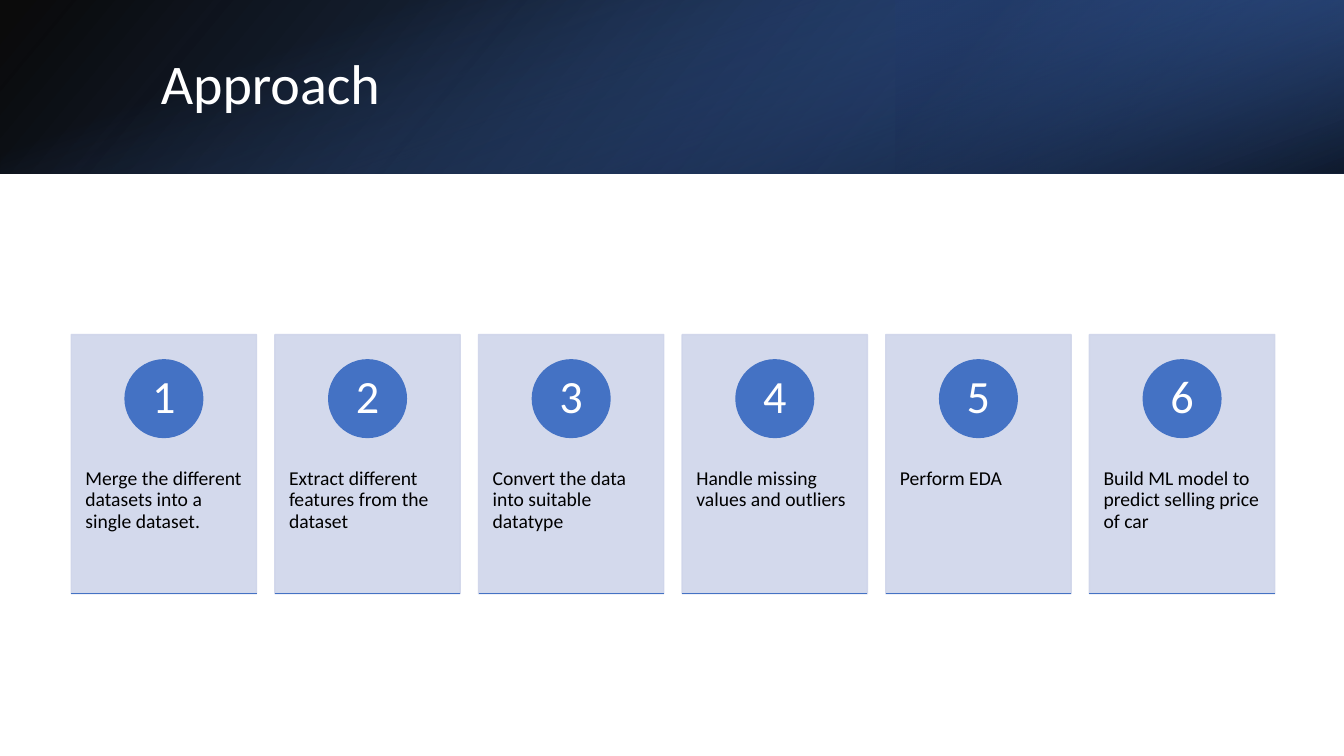
from dataclasses import dataclass

from lxml.etree import SubElement
from pptx import Presentation
from pptx.dml.color import RGBColor
from pptx.enum.shapes import MSO_CONNECTOR, MSO_SHAPE
from pptx.enum.text import MSO_ANCHOR, MSO_AUTO_SIZE, PP_ALIGN
from pptx.oxml.ns import qn
from pptx.util import Inches, Pt

WIDE, HIGH = Inches(13.33), Inches(7.5)
COL, ROW = WIDE / 6.6, HIGH / 15
FONT = "Calibri"
BLACK = RGBColor(0x00, 0x00, 0x00)
WHITE = RGBColor(0xFF, 0xFF, 0xFF)
BLUE = RGBColor(0x44, 0x72, 0xC4)
DEEP = RGBColor(0x2F, 0x55, 0x97)
NAVY = RGBColor(0x20, 0x38, 0x64)
PALE = RGBColor(0xCF, 0xD5, 0xEA)


@dataclass
class Stop:
    """A gradient stop: place, colour and opacity in percent."""
    place: float
    color: RGBColor
    alpha: int


@dataclass
class Band:
    """A gradient layer of the header, measured in columns."""
    left: float
    width: float
    angle: int
    stops: tuple[Stop, Stop]
    turn: int = 0
    flip: bool = False


@dataclass
class Step:
    """A numbered card, placed by its column."""
    index: int
    text: str


BANDS = [
    Band(0, 6.6, 140, (Stop(0, BLACK, 96), Stop(1, DEEP, 100)), flip=True),
    Band(4.4, 2.2, 320, (Stop(0.19, NAVY, 68), Stop(1, BLUE, 79)), turn=180, flip=True),
    Band(0, 6.6, 340, (Stop(0.23, BLUE, 0), Stop(0.99, BLACK, 74)), turn=90),
]
STEPS = [Step(i, text) for i, text in enumerate([
    "Merge the different datasets into a single dataset.",
    "Extract different features from the dataset",
    "Convert the data into suitable datatype",
    "Handle missing values and outliers",
    "Perform EDA",
    "Build ML model to predict selling price of car",
])]
BAND_ROWS = 3.44
CARD_LEFT, CARD_COLS = 0.35, 0.91
CARD_TOP, CARD_ROWS = 6.64, 5.14
DISC_TOP, DISC_ROWS = 7.14, 1.54


def fade(shape, *alphas: int) -> None:
    """Set the opacity of the shape's colours in order."""
    colors = shape.element.spPr.iter(qn("a:srgbClr"))
    for color, alpha in zip(colors, alphas):
        SubElement(color, qn("a:alpha"), val=str(alpha * 1000))


def write(shape, text: str, *, size: float, color: RGBColor, align=PP_ALIGN.LEFT,
          anchor=MSO_ANCHOR.MIDDLE, insets=(0.1, 0.05, 0.1, 0.05)) -> None:
    """Put formatted text in a shape; insets run left, top, right, bottom."""
    frame = shape.text_frame
    frame.word_wrap, frame.auto_size = True, MSO_AUTO_SIZE.NONE
    frame.vertical_anchor = anchor
    (frame.margin_left, frame.margin_top,
     frame.margin_right, frame.margin_bottom) = map(Inches, insets)
    frame.text = text
    line = frame.paragraphs[0]
    line.alignment, line.line_spacing = align, 0.9
    font = line.runs[0].font
    font.name, font.size, font.color.rgb = FONT, Pt(size), color


def block(slide, kind, left: float, top: float, width: float, height: float):
    """Add a shape without a shadow, given in slide units."""
    shape = slide.shapes.add_shape(kind, *map(round, (left, top, width, height)))
    shape.shadow.inherit = False
    return shape


def paint(shape, color: RGBColor) -> None:
    """Give a shape one colour for fill and line."""
    shape.fill.solid()
    shape.fill.fore_color.rgb = color
    shape.line.color.rgb = color
    shape.line.width = Pt(1)


def draw_band(slide, band: Band) -> None:
    """Draw a header layer, swapping its sides for a quarter turn."""
    width, height = band.width * COL, BAND_ROWS * ROW
    mid_x, mid_y = band.left * COL + width / 2, height / 2
    if band.turn == 90:
        width, height = height, width
    shape = block(slide, MSO_SHAPE.RECTANGLE, mid_x - width / 2, mid_y - height / 2,
                  width, height)
    shape.rotation = band.turn
    if band.flip:
        shape.element.spPr.xfrm.set("flipH", "1")
    shape.line.fill.background()
    shape.fill.gradient()
    shape.fill.gradient_angle = 360 - band.angle
    for mark, stop in zip(shape.fill.gradient_stops, band.stops):
        mark.position, mark.color.rgb = stop.place, stop.color
    fade(shape, *(stop.alpha for stop in band.stops))


def draw_step(slide, step: Step) -> None:
    """Draw a card with its text, numbered disc and base line."""
    left, width = (CARD_LEFT + step.index) * COL, CARD_COLS * COL
    card = block(slide, MSO_SHAPE.RECTANGLE, left, CARD_TOP * ROW, width, CARD_ROWS * ROW)
    paint(card, PALE)
    fade(card, 90, 90)
    write(card, step.text, size=14, color=BLACK, anchor=MSO_ANCHOR.TOP,
          insets=(0.14, 1.33, 0.14, 0.36))
    side = DISC_ROWS * ROW
    disc = block(slide, MSO_SHAPE.OVAL, left + (width - side) / 2, DISC_TOP * ROW, side, side)
    paint(disc, BLUE)
    write(disc, str(step.index + 1), size=33, color=WHITE, align=PP_ALIGN.CENTER,
          insets=(0.06, 0.01, 0.06, 0.01))
    base = round((CARD_TOP + CARD_ROWS) * ROW)
    rule = slide.shapes.add_connector(MSO_CONNECTOR.STRAIGHT, round(left), base,
                                      round(left + width), base)
    rule.line.color.rgb, rule.line.width = BLUE, Pt(1)
    SubElement(rule.element.spPr, qn("a:effectLst"))


def main() -> None:
    """Build the slide and save it."""
    deck = Presentation()
    deck.slide_width, deck.slide_height = WIDE, HIGH
    slide = deck.slides.add_slide(deck.slide_layouts[5])
    for band in BANDS:
        draw_band(slide, band)
    title = slide.shapes.title
    slide.shapes.element.append(title.element)
    title.left, title.top = round(0.74 * COL), round(0.76 * ROW)
    title.width, title.height = round(5.44 * COL), round(1.92 * ROW)
    write(title, "Approach", size=40, color=WHITE)
    for step in STEPS:
        draw_step(slide, step)
    deck.save("out.pptx")


if __name__ == "__main__":
    main()
